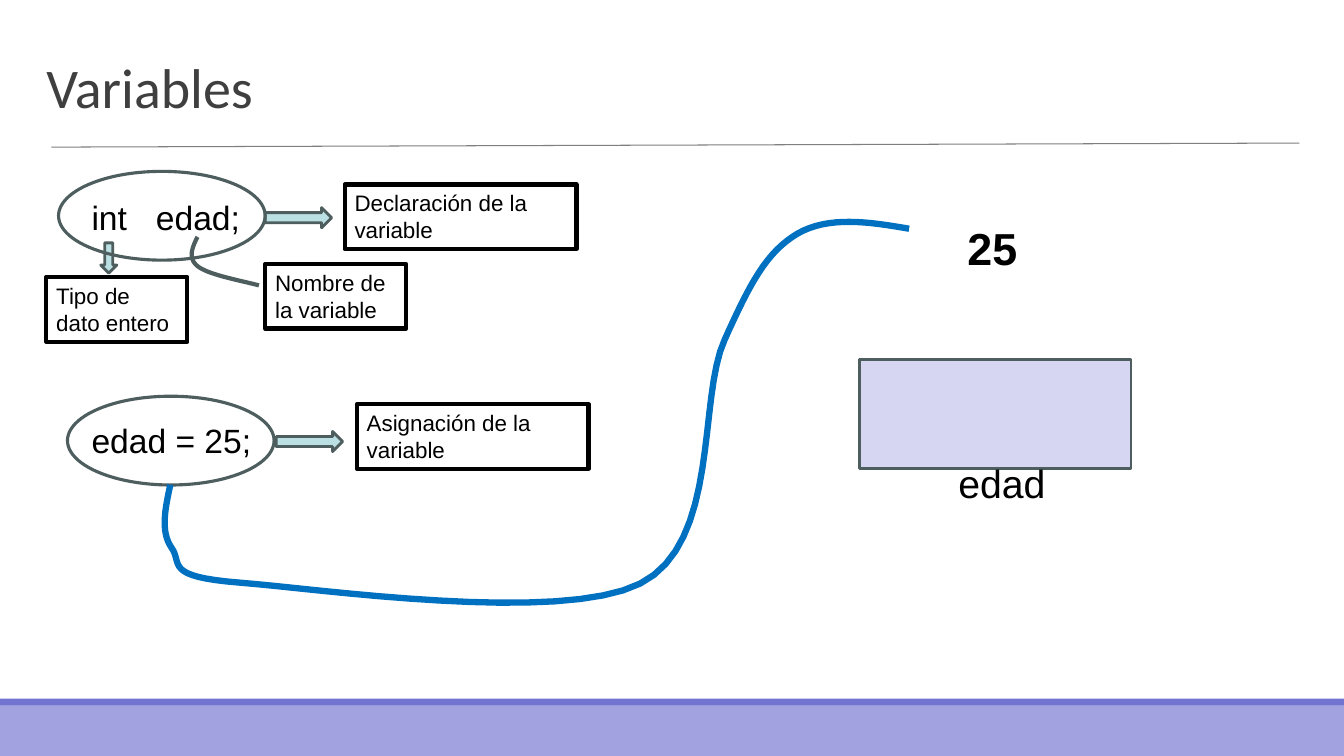
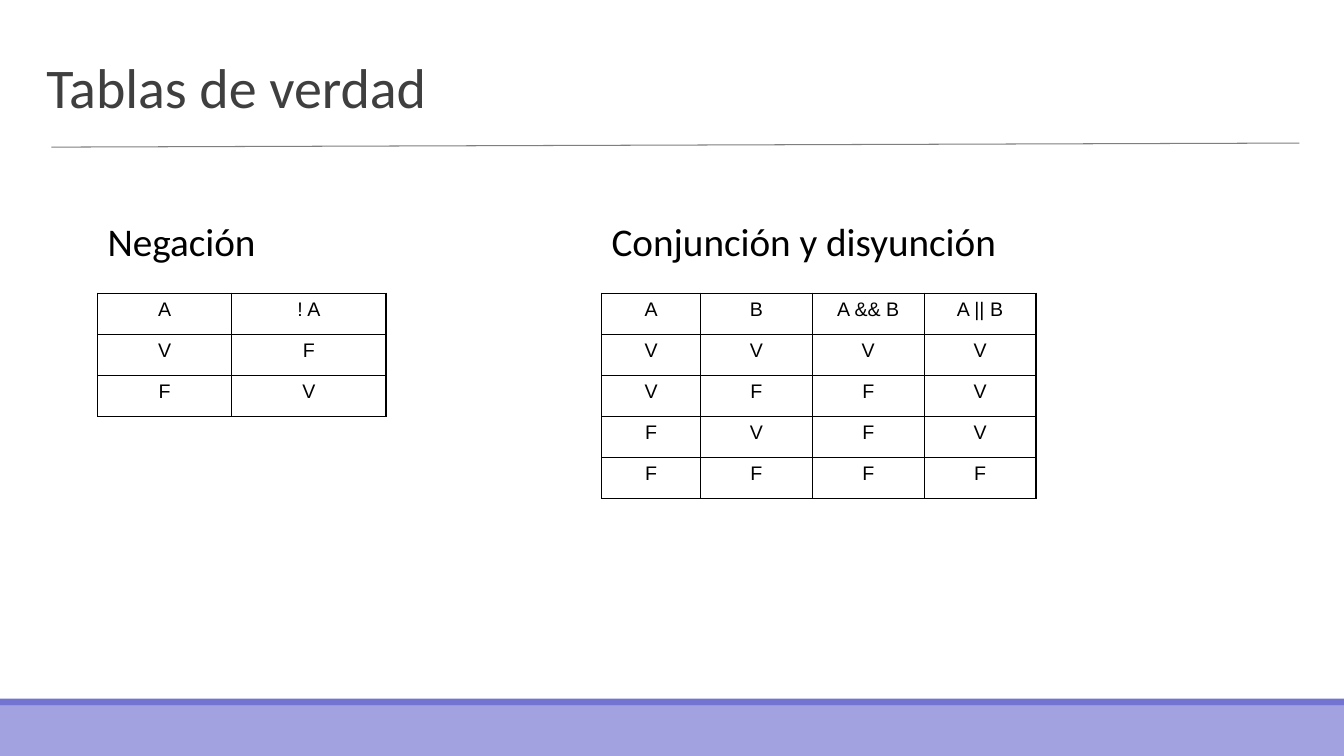
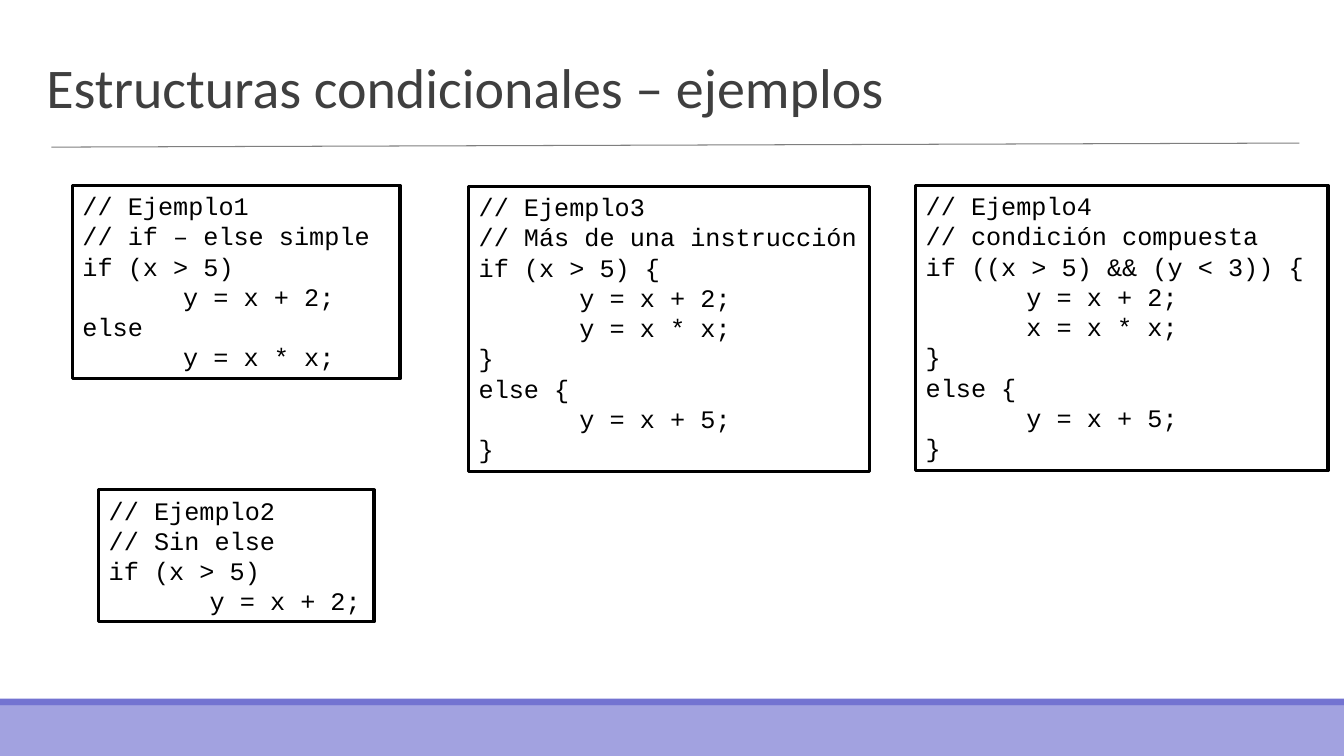
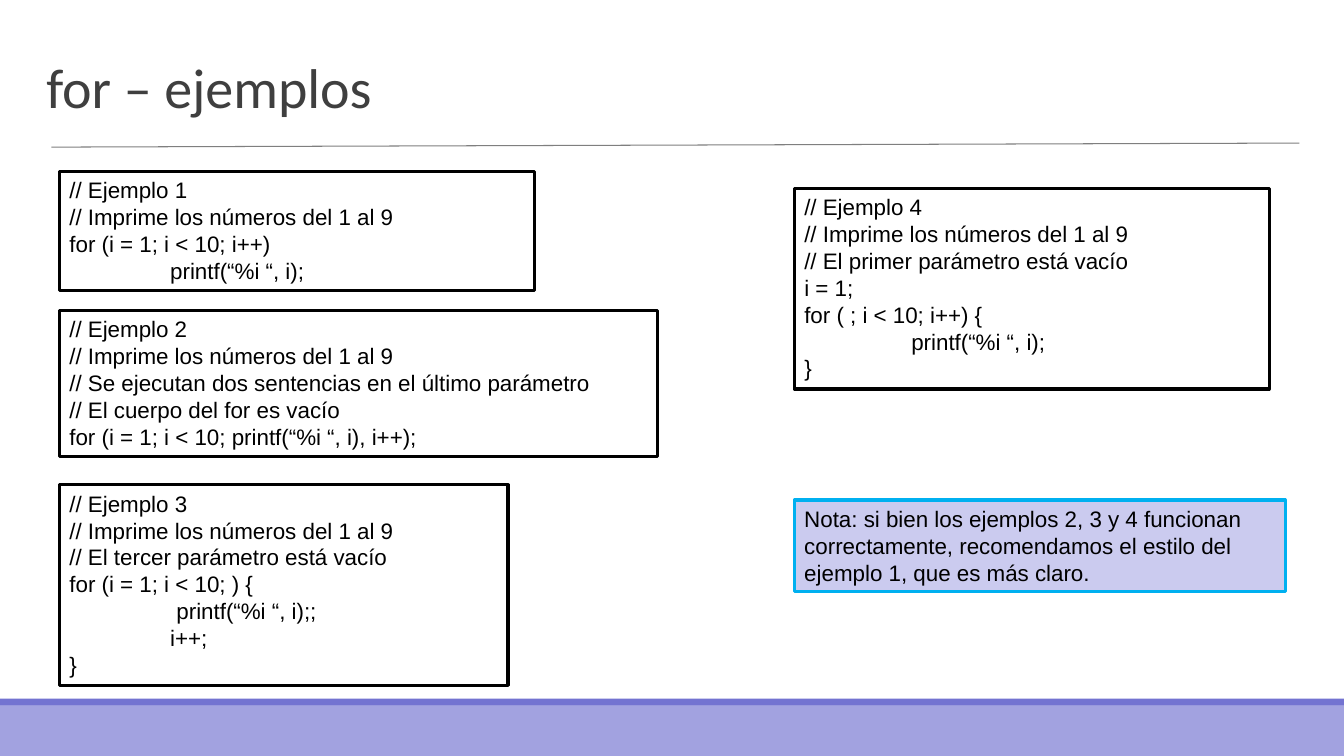
from lxml.etree import SubElement
from pptx import Presentation
from pptx.dml.color import RGBColor
from pptx.enum.shapes import MSO_CONNECTOR, MSO_SHAPE as Preset
from pptx.enum.text import MSO_ANCHOR as Anchor, MSO_AUTO_SIZE as AutoSize, PP_ALIGN as Align
from pptx.oxml.ns import qn
from pptx.util import Pt

# Colours
BLACK = RGBColor(0x00, 0x00, 0x00)
TITLE_GREY = RGBColor(0x3F, 0x3F, 0x3F)
RULE_GREY = RGBColor(0x7F, 0x7F, 0x7F)
SLATE = RGBColor(0x4E, 0x5E, 0x5F)
BAND = RGBColor(0xA2, 0xA2, 0xE0)
BAND_EDGE = RGBColor(0x73, 0x73, 0xD1)
PALE_TEAL = RGBColor(0xBB, 0xE0, 0xE3)
MEMORY = RGBColor(0x9A, 0x9A, 0xDF)
NOTE_FILL = RGBColor(0xCB, 0xCB, 0xEF)
NOTE_EDGE = RGBColor(0x00, 0xB0, 0xF0)
FLOW_BLUE = RGBColor(0x00, 0x70, 0xC0)

# Text formats
TITLE = {"name": "Calibri", "size": Pt(40)}
HEADING = {"name": "Calibri", "size": Pt(28)}
STATEMENT = {"name": "Arial", "size": Pt(24)}
LABEL = {"name": "Arial", "size": Pt(16)}
VALUE = {"name": "Arial", "size": Pt(32), "bold": True}
VARIABLE = {"name": "Arial", "size": Pt(28)}
CELL = {"name": "Arial", "size": Pt(14)}
CODE = {"name": "Courier New", "size": Pt(18)}

CODE_EDGE = (BLACK, 2.25)
LABEL_EDGE = (BLACK, 3)
INDENT = Pt(72)
CURVE_STEPS = 16


# Formatting
def assign(target, values):
    for name, value in values.items():
        setattr(target, name, value)


def write(para, text, font, color=BLACK):
    span = para.add_run()
    span.text = text
    assign(span.font, font)
    span.font.color.rgb = color


def paint(shape, fill=None, edge=None):
    if fill is None:
        shape.fill.background()
    else:
        shape.fill.solid()
        shape.fill.fore_color.rgb = fill
    if edge is None:
        shape.line.fill.background()
    else:
        shape.line.color.rgb, shape.line.width = edge[0], Pt(edge[1])


# Elements
def add_figure(page, preset, place, fill=None, edge=None):
    shape = page.shapes.add_shape(preset, *map(Pt, place))
    shape.shadow.inherit = False
    paint(shape, fill, edge)
    return shape


def add_text(page, place, lines, font, fill=None, edge=None, align=Align.LEFT):
    """Write one paragraph per line; a leading tab indents the paragraph."""
    box = page.shapes.add_textbox(*map(Pt, place))
    paint(box, fill, edge)
    frame = box.text_frame
    assign(frame, {"word_wrap": True, "auto_size": AutoSize.SHAPE_TO_FIT_TEXT})
    for number, line in enumerate(lines):
        para = frame.add_paragraph() if number else frame.paragraphs[0]
        para.alignment = align
        if line.startswith("\t"):
            para._p.get_or_add_pPr().set("marL", str(INDENT))
            line = line[1:]
        write(para, line, font)
    return box


def add_tab_stop(box, position):
    stops = SubElement(box.text_frame.paragraphs[0]._p.get_or_add_pPr(), qn("a:tabLst"))
    SubElement(stops, qn("a:tab"), pos=str(Pt(position)), algn="l")


def add_curve(page, start, segments, edge):
    """Draw cubic segments, each given as two controls and an end point."""
    points = []
    origin = start
    for *controls, end in segments:
        knots = (origin, *controls, end)
        for step in range(1, CURVE_STEPS + 1):
            t = step / CURVE_STEPS
            u = 1 - t
            weights = (u ** 3, 3 * u * u * t, 3 * u * t * t, t ** 3)
            points.append(tuple(
                Pt(sum(w * knot[axis] for w, knot in zip(weights, knots)))
                for axis in (0, 1)))
        origin = end
    builder = page.shapes.build_freeform(*map(Pt, start))
    builder.add_line_segments(points, close=False)
    curve = builder.convert_to_shape()
    curve.shadow.inherit = False
    paint(curve, edge=edge)


def add_borders(cell):
    properties = cell._tc.get_or_add_tcPr()
    for side in ("lnL", "lnR", "lnT", "lnB"):
        border = SubElement(properties, qn(f"a:{side}"), w=str(Pt(1)))
        color = SubElement(border, qn("a:solidFill"))
        SubElement(color, qn("a:srgbClr"), val=str(BLACK))


def add_truth_table(page, left, heading, heading_width, widths, rows, row_height=29.3):
    add_text(page, (left, 151.9, heading_width, 58.3), [heading], HEADING)
    place = (left, 209.5, sum(widths), row_height * len(rows))
    table = page.shapes.add_table(len(rows), len(widths), *map(Pt, place)).table
    assign(table, {"first_row": False, "horz_banding": False})
    for column, width in zip(table.columns, widths):
        column.width = Pt(width)
    for row, texts in zip(table.rows, rows):
        row.height = Pt(row_height)
        for cell, text in zip(row.cells, texts):
            add_borders(cell)
            cell.fill.background()
            para = cell.text_frame.paragraphs[0]
            para.alignment = Align.CENTER
            write(para, text, CELL)


# Shared frame
def add_page(deck, layout, title):
    page = deck.slides.add_slide(layout)
    holder = page.shapes.title
    assign(holder, {"left": Pt(25.9), "top": Pt(22.3), "width": Pt(911.5), "height": Pt(67)})
    assign(holder.text_frame, {"vertical_anchor": Anchor.BOTTOM, "word_wrap": True,
                               "auto_size": AutoSize.NONE})
    para = holder.text_frame.paragraphs[0]
    assign(para, {"alignment": Align.LEFT, "line_spacing": 0.85})
    write(para, title, TITLE, TITLE_GREY)
    return page


def dress_layout(layout, page):
    """Draw the bands and the rule, then move them to the layout."""
    for holder in list(layout.placeholders)[1:]:
        layout.shapes.element.remove(holder.element)
    band = add_figure(page, Preset.RECTANGLE, (0, 504, 960, 36), BAND)
    band_edge = add_figure(page, Preset.RECTANGLE, (0, 499, 960, 5), BAND_EDGE)
    rule = page.shapes.add_connector(
        MSO_CONNECTOR.STRAIGHT, *map(Pt, (36.7, 105.1, 928.1, 102.2)))
    rule.line.color.rgb, rule.line.width = RULE_GREY, Pt(0.75)
    SubElement(rule.element.spPr, qn("a:effectLst"))
    for shape in (band, band_edge, rule):
        layout.shapes.element.append(shape.element)


# Slides
def fill_variables(page):
    declaration = add_text(page, (58.3, 136.8, 664.6, 36), ["int\tedad;"], STATEMENT)
    add_tab_stop(declaration, 46)
    add_text(page, (58.3, 296.6, 664.6, 36), ["edad = 25;"], STATEMENT)

    arrow_edge = (SLATE, 2)
    add_figure(page, Preset.DOWN_ARROW, (72, 173.5, 11.5, 21.6), PALE_TEAL, arrow_edge)
    for left, top in ((189.4, 148.3), (197.3, 308.2)):
        add_figure(page, Preset.RIGHT_ARROW, (left, top, 47.5, 14.4), PALE_TEAL, arrow_edge)
    for left, top in ((41.8, 122.4), (48.2, 283)):
        add_figure(page, Preset.OVAL, (left, top, 147.6, 63.4), edge=(SLATE, 2.25))

    for left, top, width, lines in (
        (33.1, 198, 100.8, ["Tipo de", "dato entero"]),
        (189.4, 188.6, 100.8, ["Nombre de la variable"]),
        (246.2, 131.8, 165.6, ["Declaración de la variable"]),
        (254.9, 288.7, 165.6, ["Asignación de la variable"]),
    ):
        add_text(page, (left, top, width, 46.1), lines, LABEL, edge=LABEL_EDGE)

    # Memory cell
    memory = add_figure(page, Preset.RECTANGLE, (614.2, 257, 193.7, 77.8), MEMORY, arrow_edge)
    color = memory.element.spPr.find(f"{qn('a:solidFill')}/{qn('a:srgbClr')}")
    SubElement(color, qn("a:alpha"), val="40000")
    add_text(page, (663.8, 154.1, 90, 46.1), ["25"], VALUE, align=Align.CENTER)
    add_text(page, (677.5, 324.7, 112.3, 41), ["edad"], VARIABLE)

    # Curves from the name to its label and from the assignment to the value
    add_curve(page, (141.1, 169.2), [
        ((137.5, 176.4), (133.9, 184.3), (141.1, 190.1)),
        ((148.3, 195.8), (167, 199.4), (185, 203.8)),
    ], (SLATE, 3))
    add_curve(page, (121.7, 346.3), [
        ((118.1, 362.9), (114.5, 379.4), (122.4, 391)),
        ((131, 402.5), (115.9, 411.8), (171.4, 416.2)),
        ((227.5, 420.5), (399.6, 445.7), (457.2, 416.9)),
        ((514.8, 388.1), (498.2, 284.4), (517.7, 242.6)),
        ((536.4, 200.9), (547.9, 180), (569.5, 167)),
        ((591.8, 154.1), (620.6, 158.4), (649.4, 163.4)),
    ], (FLOW_BLUE, 4.5))


def fill_truth_tables(page):
    add_truth_table(page, 69.8, "Negación", 161.3, [95.8, 110.2],
                    [("A", "! A"), "VF", "FV"])
    add_truth_table(page, 429.8, "Conjunción y disyunción", 324, [70.6] + [79.9] * 3,
                    [("A", "B", "A && B", "A || B"), "VVVV", "VFFV", "FVFV", "FFFF"])


def fill_conditionals(page):
    for place, lines in (
        ((51.8, 132.5, 234, 138.2), [
            "// Ejemplo1", "// if – else simple", "if (x > 5)",
            "\ty = x + 2;", "else", "\ty = x * x;"]),
        ((334.8, 133.2, 286.6, 203.8), [
            "// Ejemplo3", "// Más de una instrucción", "if (x > 5) {",
            "\ty = x + 2;", "\ty = x * x;", "}", "else {", "\ty = x + 5;", "}"]),
        ((70.6, 349.9, 196.6, 94.3), [
            "// Ejemplo2", "// Sin else", "if (x > 5)", "\ty = x + 2;"]),
        ((654.1, 132.5, 294.5, 203.8), [
            "// Ejemplo4", "// condición compuesta", "if ((x > 5) && (y < 3)) {",
            "\ty = x + 2;", "\tx = x * x;", "}", "else {", "\ty = x + 5;", "}"]),
    ):
        add_text(page, place, lines, CODE, edge=CODE_EDGE)


def fill_loops(page):
    purpose = "// Imprime los números del 1 al 9"
    for number, place, lines in (
        (4, (567.4, 134.6, 339.1, 143.3), [
            "// El primer parámetro está vacío", "i = 1;", "for ( ; i < 10; i++) {",
            "\t printf(“%i “, i);", "}"]),
        (2, (42.5, 221.8, 427, 104.4), [
            "// Se ejecutan dos sentencias en el último parámetro",
            "// El cuerpo del for es vacío",
            "for (i = 1; i < 10; printf(“%i “, i), i++);"]),
        (3, (42.5, 346.3, 320.4, 143.3), [
            "// El tercer parámetro está vacío", "for (i = 1; i < 10; ) {",
            "\t printf(“%i “, i);;", "\ti++;", "}"]),
        (1, (42.5, 122.4, 339.1, 85), [
            "for (i = 1; i < 10; i++)", "\tprintf(“%i “, i);"]),
    ):
        add_text(page, place, [f"// Ejemplo {number}", purpose, *lines], LABEL, edge=CODE_EDGE)
    add_text(page, (567.4, 357.1, 350.6, 65.5), [
        "Nota: si bien los ejemplos 2, 3 y 4 funcionan correctamente, "
        "recomendamos el estilo del ejemplo 1, que es más claro."],
        LABEL, NOTE_FILL, (NOTE_EDGE, 2.25))


def main():
    deck = Presentation()
    assign(deck, {"slide_width": Pt(960), "slide_height": Pt(540)})
    layout = deck.slide_layouts.get_by_name("Title Only")
    for title, fill_page in (
        ("Variables", fill_variables),
        ("Tablas de verdad", fill_truth_tables),
        ("Estructuras condicionales – ejemplos", fill_conditionals),
        ("for – ejemplos", fill_loops),
    ):
        page = add_page(deck, layout, title)
        if len(deck.slides) == 1:
            dress_layout(layout, page)
        fill_page(page)
    deck.save("out.pptx")


if __name__ == "__main__":
    main()
